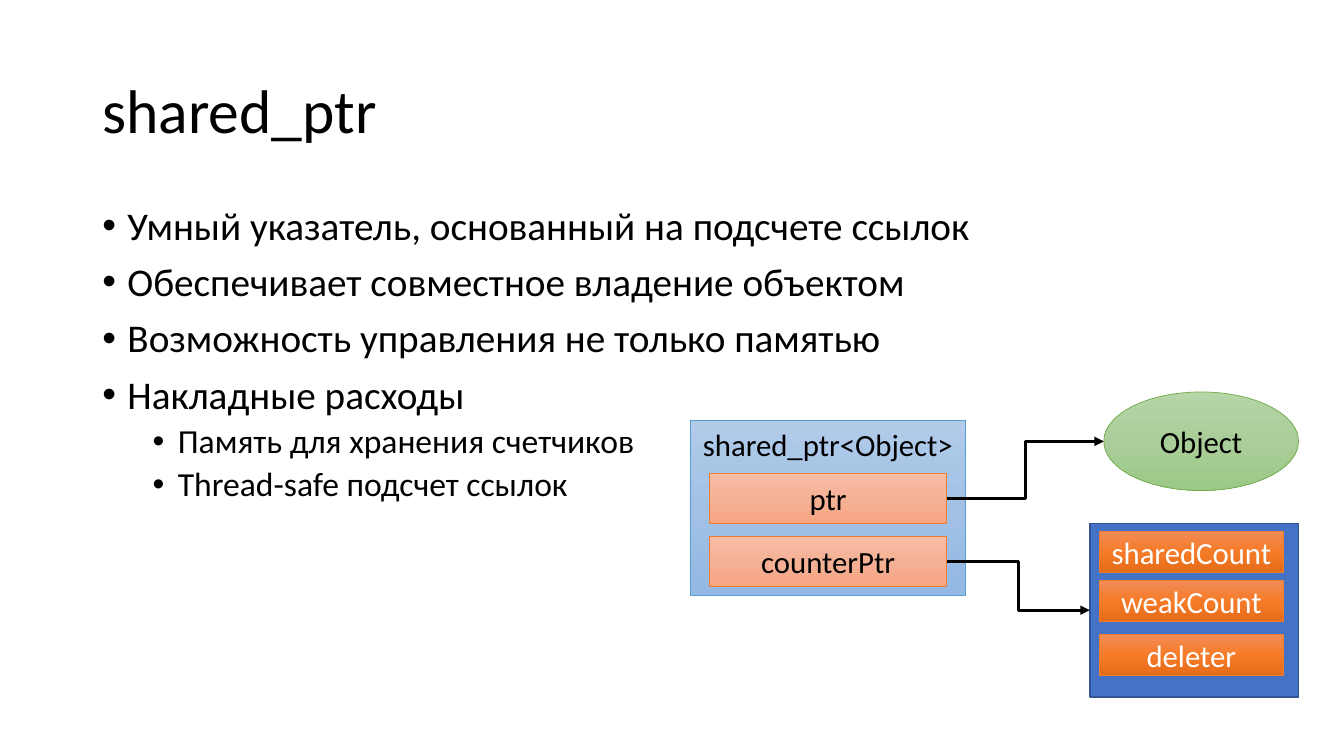
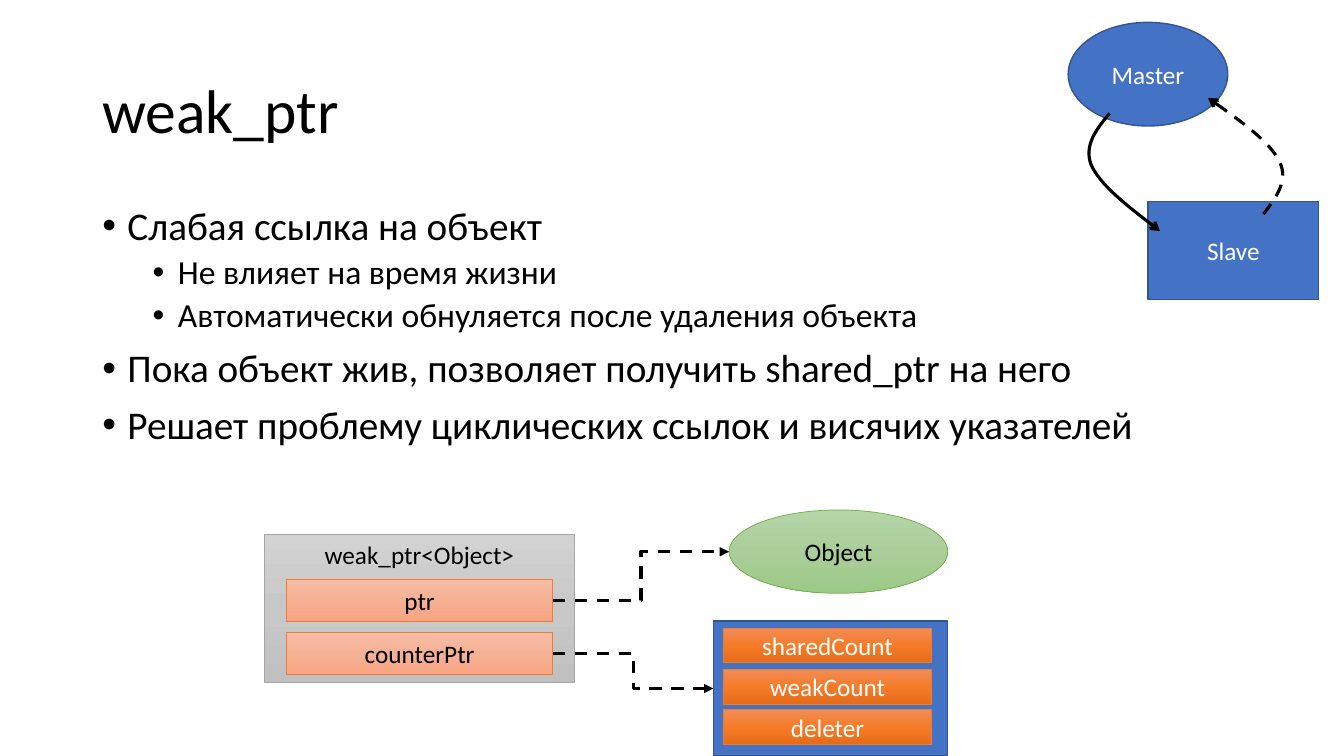
from lxml import etree
from pptx import Presentation
from pptx.dml.color import RGBColor as RGB
from pptx.enum.dml import MSO_LINE
from pptx.enum.shapes import MSO_CONNECTOR as LINK, MSO_SHAPE as SHAPE
from pptx.enum.text import MSO_ANCHOR as ANCHOR, PP_ALIGN as ALIGN
from pptx.oxml.ns import qn
from pptx.util import Pt

FONT = "Calibri"
BLACK, WHITE = RGB(0, 0, 0), RGB(255, 255, 255)
BLUE, NAVY = RGB(0x44, 0x72, 0xC4), RGB(0x32, 0x54, 0x91)

# Each style: fill stops, line colour, line width, text colour
SOLID = ([BLUE], NAVY, 1, WHITE)
GREEN = ([RGB(0xB5, 0xD5, 0xA7), RGB(0xAA, 0xCE, 0x9A), RGB(0x9C, 0xC9, 0x87)],
         RGB(0x70, 0xAD, 0x47), 0.5, BLACK)
SKY = ([RGB(0xB1, 0xCB, 0xE9), RGB(0xA3, 0xC1, 0xE5), RGB(0x93, 0xB9, 0xE4)],
       RGB(0x5B, 0x9B, 0xD5), 0.5, BLACK)
GREY = ([RGB(0xD2, 0xD2, 0xD2), RGB(0xC8, 0xC8, 0xC8), RGB(0xC0, 0xC0, 0xC0)],
        RGB(0xA5, 0xA5, 0xA5), 0.5, BLACK)
EDGE = RGB(0xED, 0x7D, 0x31)
PEACH = ([RGB(0xF7, 0xBD, 0xA5), RGB(0xF5, 0xB1, 0x96), RGB(0xF8, 0xA5, 0x82)],
         EDGE, 0.5, BLACK)
ORANGE = ([RGB(0xF1, 0x8C, 0x57), RGB(0xF6, 0x7B, 0x28), RGB(0xE5, 0x6C, 0x19)],
          EDGE, 0.5, WHITE)


def sub(parent, tag, **attrs):
    return etree.SubElement(parent, qn(tag), **attrs)


def set_font(para, size, color):
    para.font.name, para.font.size = FONT, Pt(size)
    para.font.color.rgb = color


def paint(shape, stops):
    if len(stops) == 1:
        shape.fill.solid()
        shape.fill.fore_color.rgb = stops[0]
        return
    shape.fill.gradient()
    shape.fill.gradient_angle = 270  # counter-clockwise: top to bottom
    ramp = shape._element.spPr.find(".//" + qn("a:gsLst"))
    for old in list(ramp):
        ramp.remove(old)
    for i, color in enumerate(stops):
        stop = sub(ramp, "a:gs", pos=str(i * 100000 // (len(stops) - 1)))
        sub(stop, "a:srgbClr", val=str(color))


def add_box(slide, kind, box, style, text="", size=18, anchor=ANCHOR.MIDDLE):
    stops, edge, width, color = style
    shape = slide.shapes.add_shape(kind, *map(Pt, box))
    shape.shadow.inherit = False
    paint(shape, stops)
    shape.line.color.rgb, shape.line.width = edge, Pt(width)
    if text:
        frame = shape.text_frame
        frame.margin_left = frame.margin_right = 0
        frame.vertical_anchor = anchor
        para = frame.paragraphs[0]
        para.text, para.alignment = text, ALIGN.CENTER
        set_font(para, size, color)


def ink(shape, head, dash):
    """Black line with an arrowhead at its end."""
    line = shape.line
    line.color.rgb, line.width = BLACK, Pt(2.25)
    if dash:
        line.dash_style = MSO_LINE.DASH
    sub(line._get_or_add_ln(), "a:tailEnd", type=head)


def add_link(slide, start, end, dash):
    link = slide.shapes.add_connector(LINK.ELBOW, *map(Pt, start + end))
    ink(link, "triangle", dash)
    sub(link._element.spPr, "a:effectLst")


def add_curve(slide, points, dash=False):
    """Bezier curve: a start, then three points for each arc."""
    spots = [(Pt(x), Pt(y)) for x, y in points]
    pen = slide.shapes.build_freeform(*spots[0], scale=1.0)
    pen.add_line_segments(spots[1:], close=False)
    shape = pen.convert_to_shape()
    shape.shadow.inherit = False
    shape.fill.background()
    ink(shape, "arrow", dash)
    track = shape._element.spPr.find(".//" + qn("a:path"))
    steps = track.findall(qn("a:lnTo"))
    for i in range(0, len(steps), 3):
        arc = sub(track, "a:cubicBezTo")
        for step in steps[i:i + 3]:
            arc.append(step[0])
            track.remove(step)


def add_text(slide, box):
    frame = slide.shapes.add_textbox(*map(Pt, box)).text_frame
    frame.word_wrap = True
    return frame


def add_page(deck, title, items):
    """Title and bulleted body; items are (level, text)."""
    slide = deck.slides.add_slide(deck.slide_layouts[6])
    frame = add_text(slide, (66, 28.75, 828, 104.4))
    frame.vertical_anchor = ANCHOR.MIDDLE
    para = frame.paragraphs[0]
    para.text, para.line_spacing = title, 0.9
    set_font(para, 44, BLACK)

    frame = add_text(slide, (66, 143.75, 828, 342.6))
    for i, (level, text) in enumerate(items):
        para = frame.add_paragraph() if i else frame.paragraphs[0]
        para.text, para.level, para.line_spacing = text, level, 0.9
        para.space_before = Pt(5 if level else 10)
        set_font(para, 24 if level else 28, BLACK)
        props = para._p.get_or_add_pPr()
        props.set("marL", str(Pt(18 + 36 * level)))
        props.set("indent", str(Pt(-18)))
        sub(props, "a:buFont", typeface="Arial")
        sub(props, "a:buChar", char="•")
    return slide


def add_scheme(slide, box, name, style, size, depth, tops, dash=False):
    """Pointer, object and counters; parts are fractions of the box."""
    left, top, wide, high = box

    def at(x, y, w, h):
        return left + x * wide, top + y * high, w * wide, h * high

    def spot(x, y):
        return at(x, y, 0, 0)[:2]

    # Object and pointer with its two fields
    add_box(slide, SHAPE.OVAL, at(0.68, 0, 0.32, 0.323), GREEN, "Object", size)
    add_box(slide, SHAPE.RECTANGLE, at(0, 0.093, 0.453, 0.574), style,
            name, size, ANCHOR.TOP)
    for text, y in (("ptr", 0.267), ("counterPtr", 0.473)):
        add_box(slide, SHAPE.RECTANGLE, at(0.032, y, 0.39, 0.165), PEACH,
                text, size)
    add_link(slide, spot(0.422, 0.35), spot(0.68, 0.162), dash)

    # Counter block
    add_box(slide, SHAPE.RECTANGLE, at(0.657, 0.43, 0.343, depth), SOLID)
    for text, y in zip(("sharedCount", "weakCount", "deleter"), tops):
        add_box(slide, SHAPE.RECTANGLE, at(0.672, y, 0.304, 0.135), ORANGE,
                text, size)
    add_link(slide, spot(0.422, 0.555), spot(0.657, 0.43 + depth / 2), dash)


def add_cycle(slide, box):
    """Master and slave joined by a firm and a weak reference."""
    left, top = box[:2]

    def shift(points):
        return [(left + x, top + y) for x, y in points]

    add_box(slide, SHAPE.OVAL, (left, top, 114, 74), SOLID, "Master")
    add_box(slide, SHAPE.RECTANGLE, (left + 57, top + 128, 122, 70), SOLID,
            "Slave")
    add_curve(slide, shift([(139.5, 137), (149, 124.5), (157.5, 113),
                            (151, 99.5), (144.5, 86), (122.5, 70),
                            (100, 54)]), dash=True)
    add_curve(slide, shift([(29.5, 65), (20, 76.5), (11, 88), (16.5, 102),
                            (23, 116), (44, 132.5), (65.5, 149)]))


def main():
    deck = Presentation()
    deck.slide_width, deck.slide_height = Pt(960), Pt(540)

    page = add_page(deck, "shared_ptr", [
        (0, "Умный указатель, основанный на подсчете ссылок"),
        (0, "Обеспечивает совместное владение объектом"),
        (0, "Возможность управления не только памятью"),
        (0, "Накладные расходы"),
        (1, "Память для хранения счетчиков"),
        (1, "Thread-safe подсчет ссылок")])
    add_scheme(page, (493, 280, 434.5, 218), "shared_ptr<Object>", SKY, 22,
               0.57, (0.456, 0.618, 0.795))

    page = add_page(deck, "weak_ptr", [
        (0, "Слабая ссылка на объект"),
        (1, "Не влияет на время жизни"),
        (1, "Автоматически обнуляется после удаления объекта"),
        (0, "Пока объект жив, позволяет получить shared_ptr на него"),
        (0, "Решает проблему циклических ссылок и висячих указателей")])
    add_scheme(page, (189, 364.25, 488, 184.5), "weak_ptr<Object>", GREY, 18,
               0.523, (0.457, 0.617, 0.773), dash=True)
    add_cycle(page, (763, 16, 179, 198))

    deck.save("out.pptx")


if __name__ == "__main__":
    main()
